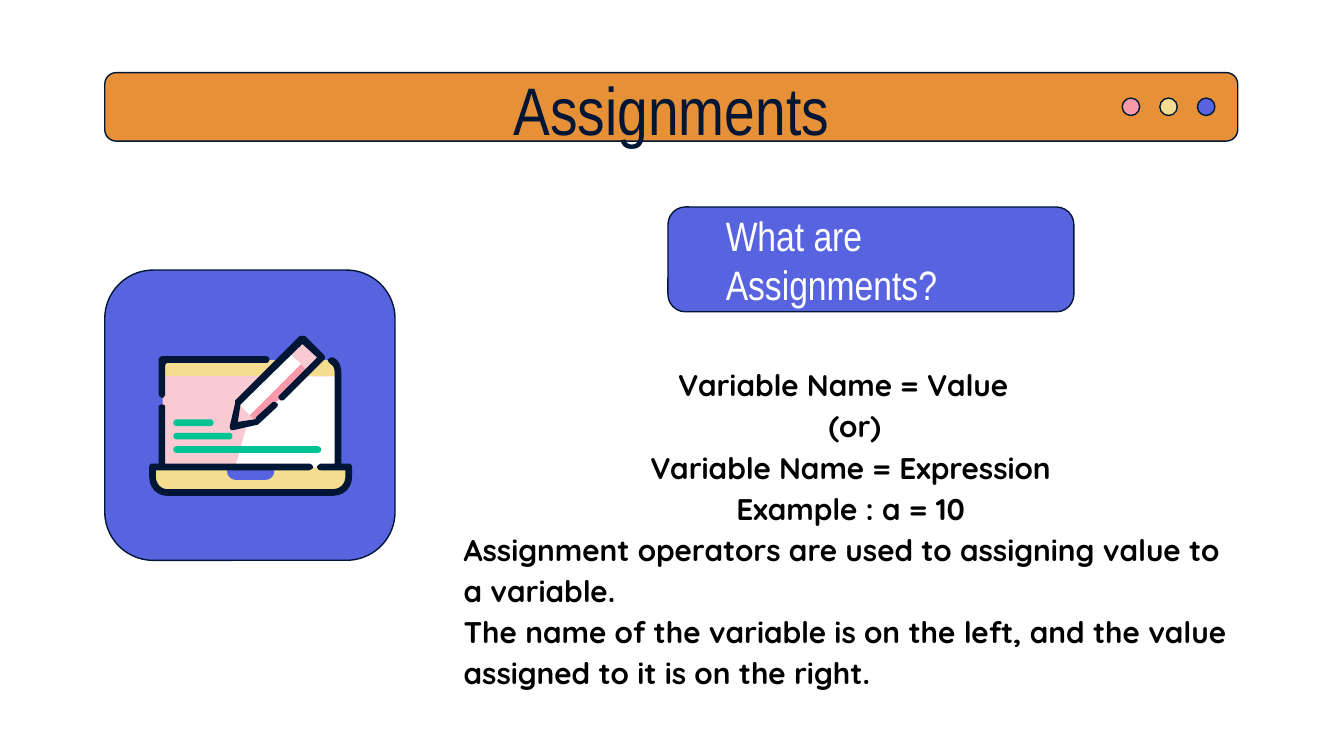
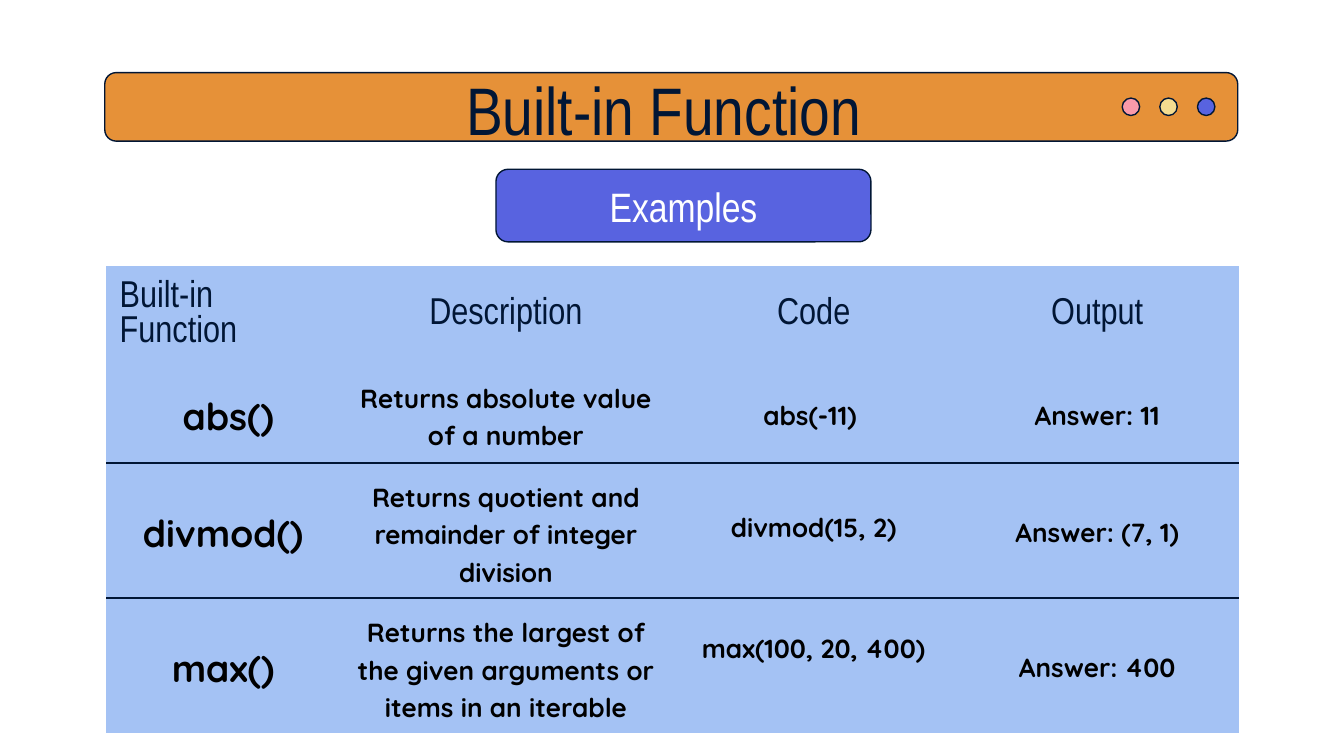
import lxml.etree
import pptx
import pptx.dml.color
import pptx.enum.shapes
import pptx.enum.text
import pptx.oxml.ns
import pptx.util

Inches = pptx.util.Inches
Pt = pptx.util.Pt
MSO = pptx.enum.shapes.MSO_SHAPE
ALIGN = pptx.enum.text.PP_ALIGN
MIDDLE = pptx.enum.text.MSO_ANCHOR.MIDDLE
TOP = pptx.enum.text.MSO_ANCHOR.TOP
qn = pptx.oxml.ns.qn

NAVY, ORANGE, BLUE, SKY = "011635", "E69138", "5863E0", "A4C2F4"
PINK, PALE_PINK, CREAM, GREEN = "F99AAA", "F9CAD2", "F4DC90", "00C395"
WHITE, BLACK = "FFFFFF", "000000"
HEADING, BODY = "Arial Narrow", "Quicksand"
NO_GRID_STYLE = "{2D5ABB26-0587-4C30-8999-92F81FD0307C}"

# A pair is a corner; six numbers are a Bezier curve from the point before.
LAPTOP_FILLS = [
    (CREAM, [(1.3, 2.68), (1.25, 2.68, 1.21, 2.72, 1.21, 2.77), (1.21, 3.48),
             (2.52, 3.48), (2.52, 2.77), (2.52, 2.72, 2.48, 2.68, 2.43, 2.68)]),
    (PALE_PINK, [(1.21, 2.8), (1.21, 3.48), (2.52, 3.48), (2.52, 2.8)]),
    (CREAM, [(1.14, 3.48), (1.14, 3.55), (1.14, 3.61, 1.19, 3.66, 1.25, 3.66),
             (2.49, 3.66), (2.55, 3.66, 2.59, 3.61, 2.59, 3.55), (2.59, 3.48)]),
    (WHITE, [(1.94, 2.8), (1.75, 3.48), (2.52, 3.48), (2.52, 2.8)]),
    (BLUE, [(1.69, 3.48), (1.69, 3.51), (1.69, 3.54, 1.72, 3.57, 1.75, 3.57),
            (1.98, 3.57), (2.01, 3.57, 2.04, 3.54, 2.04, 3.51), (2.04, 3.48)]),
]
PENCIL_FILLS = [
    (PALE_PINK, [(1.77, 3), (1.73, 3.18), (1.91, 3.14)]),
    (PALE_PINK, [(2.25, 2.52), (2.15, 2.62), (2.29, 2.76), (2.39, 2.66)]),
    (WHITE, [(2.15, 2.62), (1.77, 3), (1.91, 3.14), (2.29, 2.76)]),
    (PINK, [(2.24, 2.71), (1.86, 3.09), (1.91, 3.14), (2.29, 2.76)]),
]
LAPTOP_OUTLINE = [
    (2.47, 2.66), (2.46, 2.66, 2.44, 2.67, 2.44, 2.68), (2.44, 2.69, 2.45, 2.7, 2.46, 2.71),
    (2.48, 2.72, 2.49, 2.74, 2.49, 2.77), (2.49, 3.45), (2.39, 3.45),
    (2.38, 3.45, 2.37, 3.46, 2.36, 3.47), (2.36, 3.49, 2.37, 3.5, 2.39, 3.5),
    (2.57, 3.5), (2.57, 3.55), (2.57, 3.6, 2.53, 3.64, 2.48, 3.64),
    (1.24, 3.64), (1.2, 3.64, 1.16, 3.6, 1.16, 3.55), (1.16, 3.5), (2.3, 3.5),
    (2.3, 3.5, 2.33, 3.49, 2.33, 3.48), (2.33, 3.47, 2.32, 3.45, 2.3, 3.45),
    (1.23, 3.45), (1.23, 3.03), (1.23, 3.02, 1.22, 3.01, 1.21, 3.01),
    (1.19, 3.01, 1.18, 3.02, 1.18, 3.03), (1.18, 3.45), (1.13, 3.45),
    (1.12, 3.45, 1.11, 3.46, 1.11, 3.48), (1.11, 3.55),
    (1.11, 3.63, 1.17, 3.69, 1.24, 3.69), (2.48, 3.69),
    (2.56, 3.69, 2.62, 3.63, 2.62, 3.55), (2.62, 3.48),
    (2.62, 3.46, 2.61, 3.45, 2.59, 3.45), (2.54, 3.45), (2.54, 2.77),
    (2.54, 2.72, 2.52, 2.68, 2.48, 2.66),
]
LID_OUTLINE = [
    (1.21, 2.65), (1.19, 2.65, 1.18, 2.67, 1.18, 2.68), (1.18, 2.93),
    (1.18, 2.94, 1.19, 2.96, 1.21, 2.96), (1.22, 2.96, 1.22, 2.95, 1.23, 2.94),
    (1.23, 2.72), (1.23, 2.71, 1.24, 2.7, 1.25, 2.7), (1.99, 2.7),
    (2.02, 2.68, 2, 2.65, 1.98, 2.65),
]
PENCIL_OUTLINE = [
    (2.25, 2.5), (2.24, 2.5, 2.24, 2.5, 2.23, 2.5), (1.75, 2.98),
    (1.75, 2.99, 1.75, 2.99, 1.75, 3), (1.71, 3.17), (1.71, 3.18, 1.71, 3.19, 1.72, 3.2),
    (1.74, 3.2), (1.92, 3.16), (2.06, 3.03), (2.07, 3.02, 2.07, 3, 2.06, 3),
    (2.05, 2.99, 2.04, 2.99, 2.04, 2.99), (2.03, 2.99, 2.03, 2.99, 2.02, 3),
    (1.91, 3.1), (1.9, 3.12), (1.77, 3.14), (1.79, 3.01), (2.25, 2.56), (2.36, 2.66),
    (2.08, 2.94), (2.07, 2.95, 2.07, 2.96, 2.08, 2.97),
    (2.08, 2.98, 2.09, 2.98, 2.1, 2.98), (2.1, 2.98, 2.11, 2.98, 2.12, 2.97),
    (2.41, 2.68), (2.42, 2.67, 2.42, 2.65, 2.41, 2.64), (2.27, 2.5),
]


def rgb(color):
    return pptx.dml.color.RGBColor.from_string(color)


def write(p, text, font=BODY, size=16, color=BLACK, bold=False, align=None,
          spacing=None, left=0, indent=0):
    """Put text into a paragraph; left and indent are in inches."""
    p.alignment = align
    p.line_spacing = spacing
    if left:
        pPr = p._p.get_or_add_pPr()
        pPr.set("marL", str(Inches(left)))
        pPr.set("indent", str(Inches(indent)))
    r = p.add_run()
    r.text = text
    r.font.name, r.font.size, r.font.bold = font, Pt(size), bold
    r.font.color.rgb = rgb(color)


def flatten(steps, parts=6):
    """Turn corners and Bezier curves into a list of points."""
    points = []
    for step in steps:
        if len(step) == 2:
            points.append(step)
            continue
        start, c1, c2, end = points[-1], step[:2], step[2:4], step[4:]
        for i in range(1, parts + 1):
            t = i / parts
            u = 1 - t
            points.append(tuple(u**3 * a + 3 * u * u * t * b + 3 * u * t * t * c + t**3 * d
                                for a, b, c, d in zip(start, c1, c2, end)))
    return points


class Deck:
    def __init__(self):
        self.prs = pptx.Presentation()
        self.prs.slide_width, self.prs.slide_height = Inches(10), Inches(5.625)

    def new_slide(self, title):
        """Start a slide with the title bar and its three window buttons."""
        self.s = self.prs.slides.add_slide(self.prs.slide_layouts[6])
        self.box(0.78, 0.54, 8.43, 0.51, ORANGE)
        for i, color in enumerate([PINK, CREAM, BLUE]):
            self.box(8.35 + 0.28 * i, 0.73, 0.13, 0.13, color, kind=MSO.OVAL)
        p = self.text_frame(1.49, 0.49, 7.01, 0.63).paragraphs[0]
        write(p, title, HEADING, 36, NAVY, align=ALIGN.CENTER)

    def paint(self, sp, fill, line=None):
        sp.shadow.inherit = False
        sp.fill.solid()
        sp.fill.fore_color.rgb = rgb(fill)
        if line:
            sp.line.color.rgb = rgb(line)
            sp.line.width = Pt(0.75)
        else:
            sp.line.fill.background()

    def box(self, x, y, w, h, fill, line=NAVY, kind=MSO.ROUNDED_RECTANGLE, corner=0.167):
        sp = self.s.shapes.add_shape(kind, Inches(x), Inches(y), Inches(w), Inches(h))
        if kind == MSO.ROUNDED_RECTANGLE:
            sp.adjustments[0] = corner
        self.paint(sp, fill, line)

    def outline(self, steps, fill):
        points = [(Inches(x), Inches(y)) for x, y in flatten(steps)]
        fb = self.s.shapes.build_freeform(*points[0])
        fb.add_line_segments(points[1:], close=True)
        self.paint(fb.convert_to_shape(), fill)

    def text_frame(self, x, y, w, h, left=0):
        sp = self.s.shapes.add_textbox(Inches(x), Inches(y), Inches(w), Inches(h))
        tf = sp.text_frame
        tf.word_wrap = True
        tf.vertical_anchor = MIDDLE
        tf.margin_left = Inches(left)
        tf.margin_top = tf.margin_right = tf.margin_bottom = 0
        return tf

    def subtitle(self, text, x, y, w, h, align=None):
        p = self.text_frame(x, y, w, h, left=0.08).paragraphs[0]
        write(p, text, HEADING, 22, WHITE, align=align)

    def paragraphs(self, x, y, w, h, items):
        tf = self.text_frame(x, y, w, h)
        for i, (text, style) in enumerate(items):
            p = tf.add_paragraph() if i else tf.paragraphs[0]
            write(p, text, bold=True, spacing=1.15, **style)

    def laptop(self):
        for color, steps in LAPTOP_FILLS + PENCIL_FILLS:
            self.outline(steps, color)
        for steps in (LAPTOP_OUTLINE, LID_OUTLINE, PENCIL_OUTLINE):
            self.outline(steps, NAVY)
        for i, width in enumerate([0.3, 0.44, 1.1]):
            self.box(1.29, 3.12 + 0.1 * i, width, 0.05, GREEN, line=None, corner=0.5)

    def table(self, x, y, widths, row_height, rows, bottoms):
        """Draw the table; bottoms maps (row, column) to a deeper bottom margin."""
        frame = self.s.shapes.add_table(len(rows), len(widths), Inches(x), Inches(y),
                                        Inches(sum(widths)), Inches(row_height * len(rows)))
        tbl = frame.table
        tbl.first_row = tbl.horz_banding = False
        tbl._tbl.tblPr.find(qn("a:tableStyleId")).text = NO_GRID_STYLE
        for col, width in zip(tbl.columns, widths):
            col.width = Inches(width)
        for i, row in enumerate(rows):
            tbl.rows[i].height = Inches(row_height)
            for j, text in enumerate(row):
                cell = tbl.cell(i, j)
                cell.margin_left = cell.margin_right = cell.margin_top = Inches(0.1)
                cell.margin_bottom = Inches(bottoms.get((i, j), 0.1))
                cell.vertical_anchor = MIDDLE
                if i > 1:
                    self.border(cell, "a:lnT")
                if 0 < i < len(rows) - 1:
                    self.border(cell, "a:lnB")
                cell.fill.solid()
                cell.fill.fore_color.rgb = rgb(SKY)
                p = cell.text_frame.paragraphs[0]
                if i:
                    write(p, text, size=14 if j else 20, bold=True,
                          align=ALIGN.CENTER, spacing=1.15)
                else:
                    write(p, text, HEADING, 20, NAVY, spacing=Pt(19),
                          align=ALIGN.CENTER if j else None)
        tbl.cell(0, 0).vertical_anchor = TOP

    def border(self, cell, side):
        ln = lxml.etree.SubElement(cell._tc.get_or_add_tcPr(), qn(side), w=str(Pt(0.75)))
        fill = lxml.etree.SubElement(ln, qn("a:solidFill"))
        lxml.etree.SubElement(fill, qn("a:srgbClr"), val=NAVY)


def assignments_slide(deck):
    deck.new_slide("Assignments")
    deck.box(4.97, 1.54, 3.02, 0.78, BLUE)
    deck.subtitle("What are Assignments?", 5.32, 1.7, 2.61, 0.46)
    hanging = dict(align=ALIGN.CENTER, left=0.5, indent=-0.39)
    plain = dict(left=0.11)
    deck.paragraphs(3.34, 2.66, 5.87, 2.51, [
        ("Variable Name = Value", dict(align=ALIGN.CENTER)),
        (" (or)", hanging),
        ("Variable Name = Expression", hanging),
        ("Example : a = 10", hanging),
        ("Assignment operators are used to assigning value to a variable.", plain),
        ("The name of the variable is on the left, and the value assigned to it "
         "is on the right.", plain),
    ])
    deck.box(0.78, 2.01, 2.16, 2.16, BLUE)
    deck.laptop()


def functions_slide(deck):
    deck.new_slide("Built-in Function ")
    deck.table(0.79, 1.98, [1.74, 2.47, 2.11, 2.11], 0.62, [
        ["Built-in Function", "Description", "Code", "Output"],
        [" abs()", "Returns absolute value of a number", "abs(-11) ", "Answer: 11"],
        ["divmod()", "Returns quotient and remainder of integer division",
         "divmod(15, 2)", "Answer: (7, 1)"],
        ["max()", "Returns the largest of the given arguments or items in an iterable",
         "max(100, 20, 400)", "Answer: 400"],
    ], bottoms={(2, 2): 0.18, (3, 2): 0.38})
    deck.box(3.69, 1.26, 2.79, 0.54, BLUE)
    deck.subtitle("Examples", 3.65, 1.37, 2.79, 0.32, ALIGN.CENTER)


def main():
    deck = Deck()
    assignments_slide(deck)
    functions_slide(deck)
    deck.prs.save("out.pptx")


if __name__ == "__main__":
    main()
